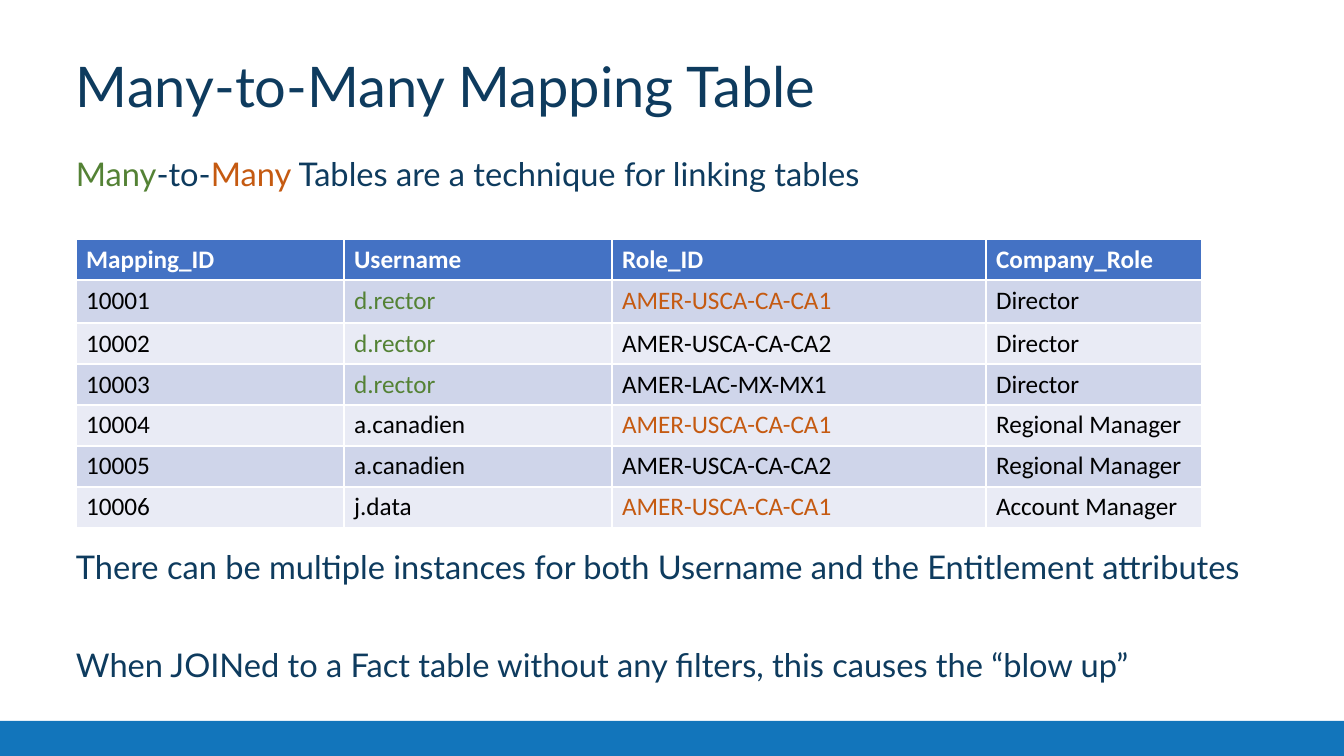
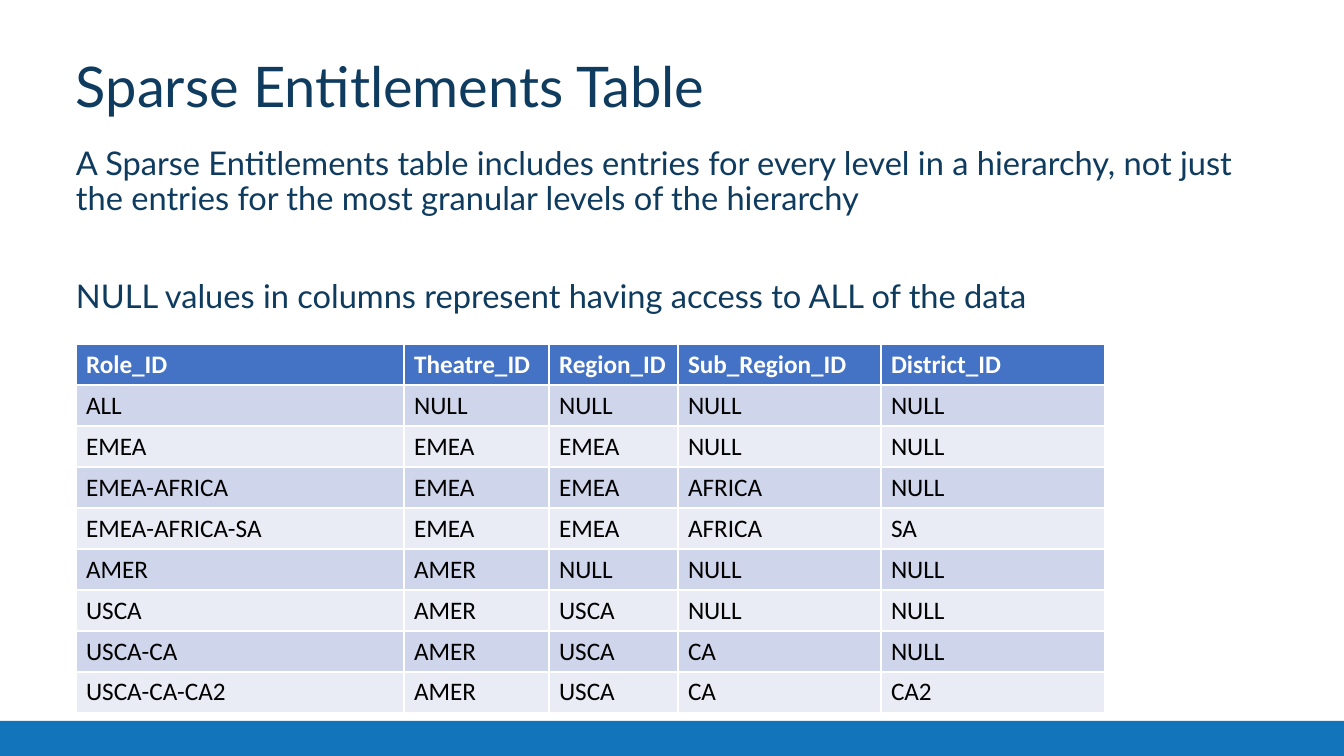
from dataclasses import dataclass

from lxml import etree
from pptx import Presentation
from pptx.dml.color import RGBColor
from pptx.enum.shapes import MSO_SHAPE
from pptx.enum.text import MSO_ANCHOR, MSO_AUTO_SIZE, PP_ALIGN
from pptx.oxml.ns import qn
from pptx.util import Emu, Pt

RECTANGLE = MSO_SHAPE.RECTANGLE
TOP = MSO_ANCHOR.TOP
FIXED_SIZE = MSO_AUTO_SIZE.NONE
LEFT = PP_ALIGN.LEFT

SLIDE_W, SLIDE_H = 1344, 756
EMU_PER_PX = 12192000 / SLIDE_W
MARGIN = 76
TITLE_BOX = (MARGIN, 59, 1193, 61)
BAND_BOX = (0, 721, SLIDE_W, SLIDE_H - 721)
ROW_H = 41


@dataclass(frozen=True)
class Theme:
    navy: str = "0E3B5E"
    band: str = "1275BB"
    green: str = "548235"
    orange: str = "C55A11"
    white: str = "FFFFFF"
    black: str = "000000"
    header: str = "4472C4"
    odd_row: str = "CFD5EA"
    even_row: str = "E9EBF5"
    text_font: str = "Lato"
    table_font: str = "Calibri"
    title_size: float = 40
    body_size: float = 23.3
    table_size: float = 18
    line_spacing: float = 0.9


THEME = Theme()


def px(length):
    return Emu(round(length * EMU_PER_PX))


def write(paragraph, text, *, size, colour, font=THEME.text_font, bold=False):
    """Add one formatted run of text to a paragraph."""
    run = paragraph.add_run()
    run.text = text
    run.font.size = Pt(size)
    run.font.name = font
    run.font.bold = bold
    run.font.color.rgb = RGBColor.from_string(colour)


def fill_solid(target, colour):
    target.fill.solid()
    target.fill.fore_color.rgb = RGBColor.from_string(colour)


def place(placeholder, box):
    """Move a placeholder and give its text frame plain margins."""
    left, top, width, height = map(px, box)
    placeholder.left, placeholder.top = left, top
    placeholder.width, placeholder.height = width, height
    frame = placeholder.text_frame
    frame.margin_left = frame.margin_top = 0
    frame.margin_right = frame.margin_bottom = 0
    frame.word_wrap = True
    frame.auto_size = FIXED_SIZE
    frame.vertical_anchor = TOP
    return frame


def plain_paragraph(paragraph, space_before=0):
    """Left-align a paragraph without bullet or indent."""
    properties = paragraph._p.get_or_add_pPr()
    properties.set("marL", "0")
    properties.set("indent", "0")
    etree.SubElement(properties, qn("a:buNone"))
    paragraph.alignment = LEFT
    paragraph.line_spacing = THEME.line_spacing
    paragraph.space_before = Pt(space_before)


def add_title(slide, title):
    paragraph = place(slide.shapes.title, TITLE_BOX).paragraphs[0]
    plain_paragraph(paragraph)
    write(paragraph, title, size=THEME.title_size, colour=THEME.navy)


def add_body(slide, box, statements):
    """Each statement is (space before, [(text, colour), ...])."""
    frame = place(slide.placeholders[1], box)
    for index, (space_before, parts) in enumerate(statements):
        paragraph = frame.add_paragraph() if index else frame.paragraphs[0]
        plain_paragraph(paragraph, space_before)
        for text, colour in parts:
            write(paragraph, text, size=THEME.body_size, colour=colour)


def add_data_table(slide, left, top, widths, rows, highlights=None, heights=None):
    """Draw a header and banded rows; highlights maps values to text colours."""
    highlights = highlights or {}
    heights = heights or [ROW_H] * len(rows)
    table = slide.shapes.add_table(
        len(rows), len(widths), px(left), px(top), px(sum(widths)), px(sum(heights))
    ).table
    for column, width in zip(table.columns, widths):
        column.width = px(width)
    for index, (values, height) in enumerate(zip(rows, heights)):
        table.rows[index].height = px(height)
        is_header = index == 0
        band = THEME.odd_row if index % 2 else THEME.even_row
        base = THEME.white if is_header else THEME.black
        for column_index, value in enumerate(values):
            cell = table.cell(index, column_index)
            fill_solid(cell, THEME.header if is_header else band)
            write(cell.text_frame.paragraphs[0], value, size=THEME.table_size,
                  colour=highlights.get(value, base), font=THEME.table_font,
                  bold=is_header)


def add_band(slide, box):
    """Draw the footer band, then move it to the layout all slides share."""
    band = slide.shapes.add_shape(RECTANGLE, *map(px, box))
    band.shadow.inherit = False
    fill_solid(band, THEME.band)
    band.line.fill.background()
    band.element.nvSpPr.cNvPr.set("id", "20")
    slide.slide_layout.shapes.element.insert(2, band.element)


def mapping_slide(slide):
    add_title(slide, "Many-to-Many Mapping Table")
    # Statements above and below the table
    add_body(slide, (MARGIN, 158, 1248, 533), [
        (0, [("Many", THEME.green), ("-to-", THEME.navy), ("Many", THEME.orange),
             (" Tables are a technique for linking tables", THEME.navy)]),
        (256, [("There can be multiple instances for both Username and the "
                "Entitlement attributes", THEME.navy)]),
        (45, [("When JOINed to a Fact table without any filters, this causes "
               "the “blow up”", THEME.navy)]),
    ])
    # Mapping of users to roles
    rows = [
        ("Mapping_ID", "Username", "Role_ID", "Company_Role"),
        ("10001", "d.rector", "AMER-USCA-CA-CA1", "Director"),
        ("10002", "d.rector", "AMER-USCA-CA-CA2", "Director"),
        ("10003", "d.rector", "AMER-LAC-MX-MX1", "Director"),
        ("10004", "a.canadien", "AMER-USCA-CA-CA1", "Regional Manager"),
        ("10005", "a.canadien", "AMER-USCA-CA-CA2", "Regional Manager"),
        ("10006", "j.data", "AMER-USCA-CA-CA1", "Account Manager"),
    ]
    add_data_table(
        slide, MARGIN, 239, (268, 268, 374, 216), rows,
        highlights={"d.rector": THEME.green, "AMER-USCA-CA-CA1": THEME.orange},
        heights=[ROW_H, 43] + [ROW_H] * 5,
    )


def entitlements_slide(slide):
    add_title(slide, "Sparse Entitlements Table")
    # Statements above the table
    add_body(slide, (MARGIN, 147, 1193, 170), [
        (0, [("A Sparse Entitlements table includes entries for every level in a "
              "hierarchy, not just the entries for the most granular levels of "
              "the hierarchy", THEME.navy)]),
        (45, [("NULL values in columns represent having access to ALL of the data",
               THEME.navy)]),
    ])
    # Entitlements at every level
    rows = [
        ("Role_ID", "Theatre_ID", "Region_ID", "Sub_Region_ID", "District_ID"),
        ("ALL", "NULL", "NULL", "NULL", "NULL"),
        ("EMEA", "EMEA", "EMEA", "NULL", "NULL"),
        ("EMEA-AFRICA", "EMEA", "EMEA", "AFRICA", "NULL"),
        ("EMEA-AFRICA-SA", "EMEA", "EMEA", "AFRICA", "SA"),
        ("AMER", "AMER", "NULL", "NULL", "NULL"),
        ("USCA", "AMER", "USCA", "NULL", "NULL"),
        ("USCA-CA", "AMER", "USCA", "CA", "NULL"),
        ("USCA-CA-CA2", "AMER", "USCA", "CA", "CA2"),
    ]
    add_data_table(slide, MARGIN, 344, (328, 145, 129, 203, 224), rows)


def main():
    deck = Presentation()
    deck.slide_width, deck.slide_height = px(SLIDE_W), px(SLIDE_H)
    layout = deck.slide_layouts[1]
    slides = [deck.slides.add_slide(layout) for _ in range(2)]
    add_band(slides[0], BAND_BOX)
    for build, slide in zip((mapping_slide, entitlements_slide), slides):
        build(slide)
    deck.save("out.pptx")


if __name__ == "__main__":
    main()
